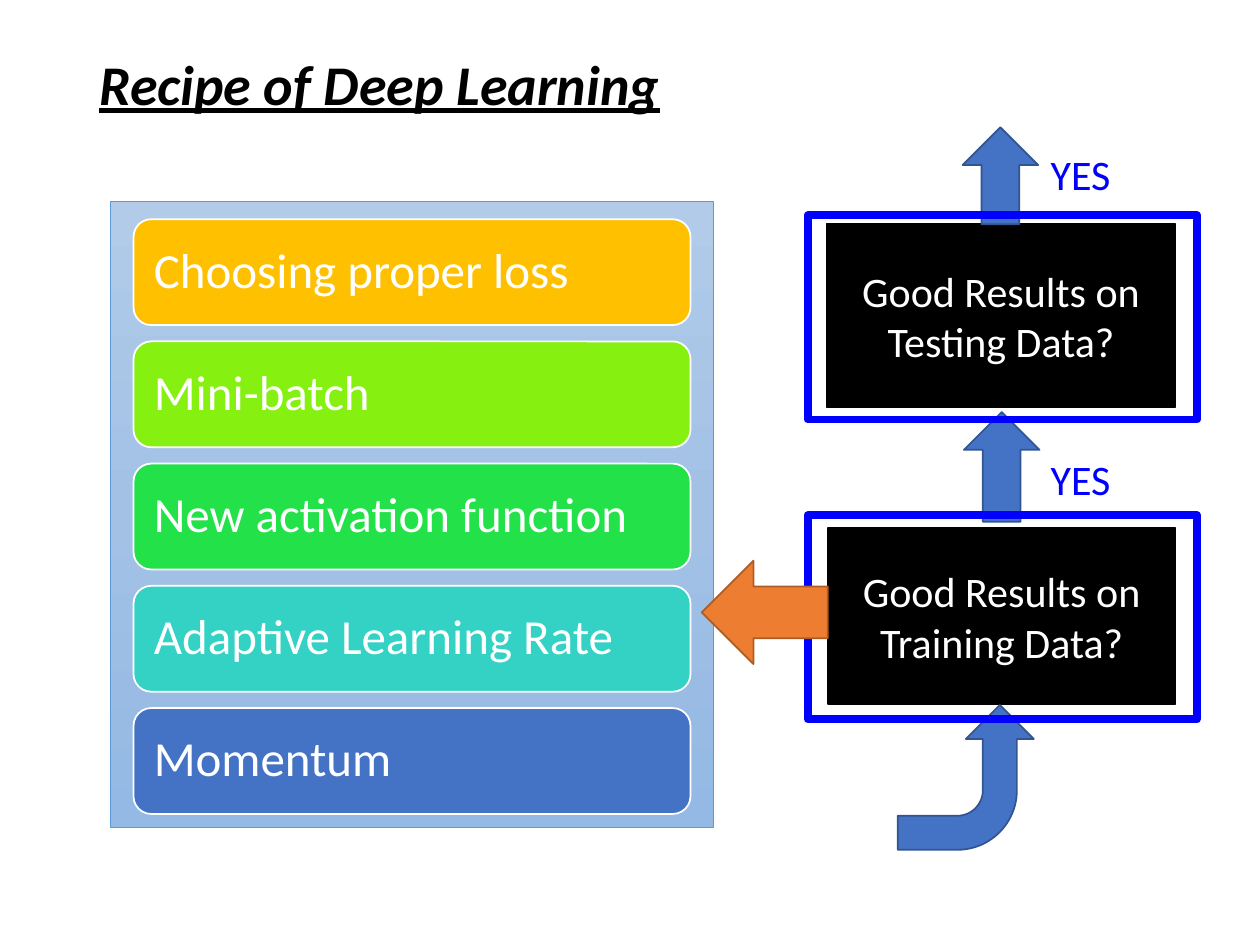
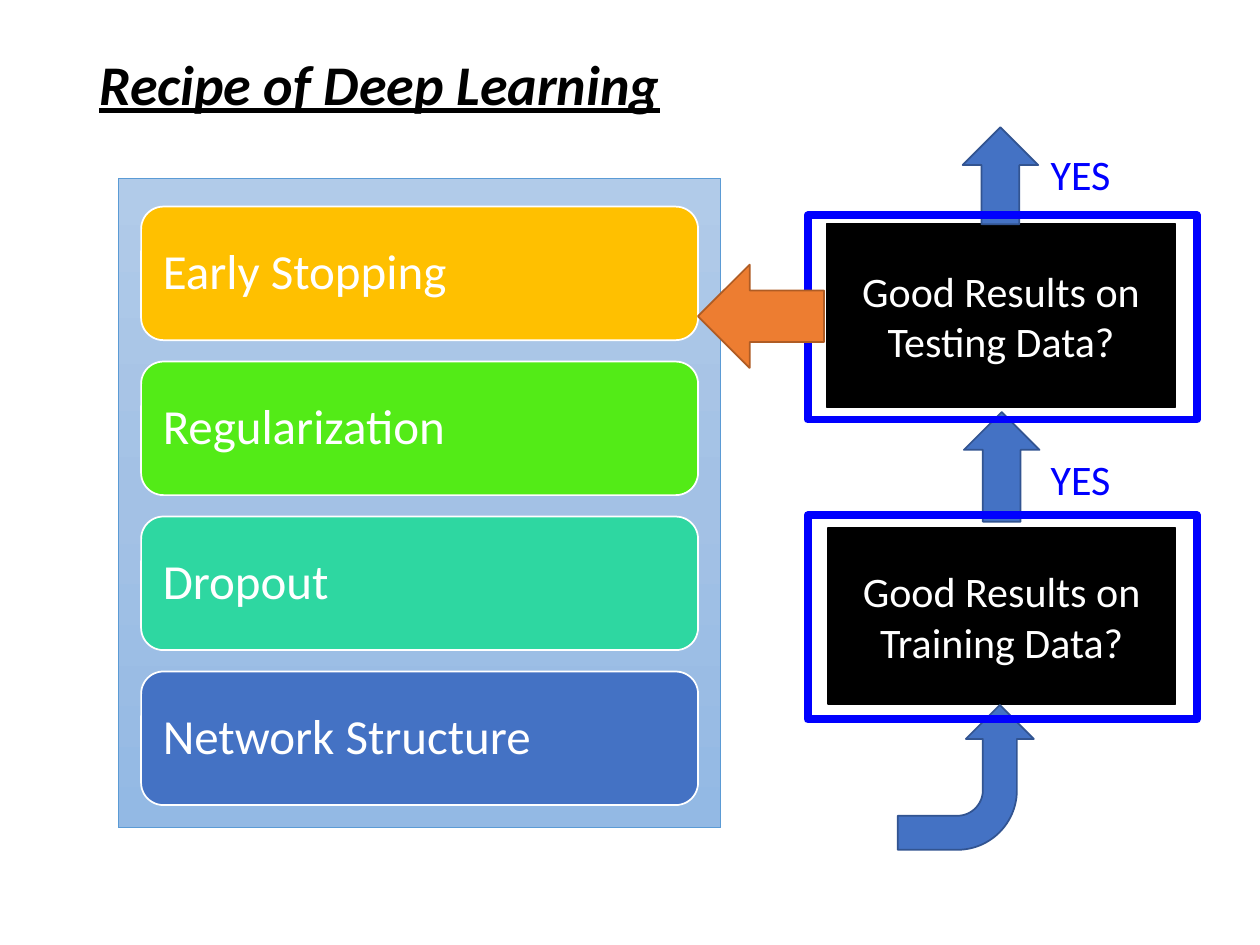
from copy import deepcopy
from dataclasses import dataclass

from pptx import Presentation
from pptx import util as u
from pptx.dml.color import RGBColor
from pptx.enum import shapes, text
from pptx.oxml.ns import qn

KIND = shapes.MSO_SHAPE
MID = text.MSO_ANCHOR.MIDDLE
LEFT = text.PP_ALIGN.LEFT
CENTER = text.PP_ALIGN.CENTER


@dataclass(frozen=True)
class Theme:
    font: str = "Calibri"
    title: int = 32
    step: int = 28
    body: int = 24
    black: str = "000000"
    white: str = "FFFFFF"
    mark: str = "0000FF"
    blue: str = "4472C4"
    navy: str = "325491"
    fire: str = "ED7D31"
    rust: str = "AF5C24"
    edge: str = "5B9BD5"
    fade: tuple = ("B1CBE9", "A3C1E5", "93B9E4")
    gold: str = "FFC000"
    lime: str = "86F011"
    leaf: str = "53EB17"
    green: str = "23E148"
    mint: str = "2ED7A1"
    teal: str = "33D2C5"


def rgb(code):
    return RGBColor.from_string(code)


class Deck:
    def __init__(self, theme):
        self.theme = theme
        self.prs = Presentation()
        self.prs.slide_width = u.Inches(10)
        self.prs.slide_height = u.Inches(7.5)

    def page(self):
        self.slide = self.prs.slides.add_slide(self.prs.slide_layouts[6])

    def shape(self, kind, box, fill, line, width=1.0):
        item = self.slide.shapes.add_shape(kind, *map(u.Inches, box))
        item.shadow.inherit = False
        if fill:
            item.fill.solid()
            item.fill.fore_color.rgb = rgb(fill)
        else:
            item.fill.background()
        item.line.color.rgb = rgb(line)
        item.line.width = u.Pt(width)
        return item

    def words(self, item, line, size, color, align=LEFT):
        item.text_frame.word_wrap = True
        para = item.text_frame.paragraphs[0]
        para.alignment = align
        run = para.add_run()
        run.text = line
        run.font.name = self.theme.font
        run.font.size = u.Pt(size)
        run.font.color.rgb = rgb(color)
        return run

    def label(self, line, box, size, color):
        item = self.slide.shapes.add_textbox(*map(u.Inches, box))
        run = self.words(item, line, size, color)
        item.text_frame.auto_size = text.MSO_AUTO_SIZE.SHAPE_TO_FIT_TEXT
        return run

    def title(self, line):
        run = self.label(line, (0.69, 0.34, 4.76, 0.64), self.theme.title, self.theme.black)
        run.font.bold = run.font.italic = run.font.underline = True

    def panel(self, box):
        item = self.shape(KIND.RECTANGLE, box, None, self.theme.edge, 0.5)
        item.fill.gradient()
        item.fill.gradient_angle = 270
        stops = item._element.spPr.find(".//" + qn("a:gsLst"))
        stops.insert(1, deepcopy(stops[0]))
        for stop, place, code in zip(item.fill.gradient_stops, (0, 0.5, 1), self.theme.fade):
            stop.position = place
            stop.color.rgb = rgb(code)

    def check(self, line, box):
        item = self.shape(KIND.RECTANGLE, box, self.theme.black, self.theme.black)
        item.text_frame.vertical_anchor = MID
        self.words(item, line, self.theme.body, self.theme.white, CENTER)

    def frame(self, top):
        self.shape(KIND.RECTANGLE, (6.41, top, 3.09, 1.62), None, self.theme.mark, 4.5)

    def arrow(self, kind, box, fill, line, turn=0, flip=None):
        item = self.shape(kind, box, fill, line)
        item.rotation = turn
        if flip:
            item._element.spPr.get_or_add_xfrm().set(flip, "1")

    def steps(self, rows, left, top, high, pitch):
        for i, (line, fill) in enumerate(rows):
            box = (left, top + i * pitch, 4.42, high)
            item = self.shape(KIND.ROUNDED_RECTANGLE, box, fill, self.theme.white)
            frame = item.text_frame
            frame.vertical_anchor = MID
            frame.margin_left = frame.margin_right = u.Inches(0.12)
            frame.margin_top = frame.margin_bottom = u.Inches(0.12)
            self.words(item, line, self.theme.step, self.theme.white)
            frame.paragraphs[0].line_spacing = 0.9

    def flow(self):
        look = self.theme
        self.check("Good Results on Testing Data?", (6.56, 1.78, 2.77, 1.45))
        self.check("Good Results on Training Data?", (6.57, 4.19, 2.76, 1.4))
        for box in ((7.64, 1.01, 0.6, 0.77), (7.65, 3.27, 0.6, 0.87)):
            self.arrow(KIND.DOWN_ARROW, box, look.blue, look.navy, 180)
        self.arrow(KIND.BENT_ARROW, (7.09, 5.63, 1.15, 1.08), look.blue, look.navy, 270, "flipV")
        for top in (3.55, 1.13):
            self.label("YES", (8.24, top, 0.84, 0.5), look.body, look.mark)
        for top in (4.09, 1.71):
            self.frame(top)

    def recipe(self, panel, rows, grid, hint):
        self.page()
        self.panel(panel)
        self.flow()
        self.title("Recipe of Deep Learning")
        self.steps(rows, *grid)
        self.arrow(KIND.RIGHT_ARROW, (*hint, 1, 0.82), self.theme.fire, self.theme.rust, flip="flipH")


def main():
    look = Theme()
    deck = Deck(look)
    train = (
        ("Choosing proper loss", look.gold),
        ("Mini-batch", look.lime),
        ("New activation function", look.green),
        ("Adaptive Learning Rate", look.teal),
        ("Momentum", look.blue),
    )
    test = (
        ("Early Stopping", look.gold),
        ("Regularization", look.leaf),
        ("Dropout", look.mint),
        ("Network Structure", look.blue),
    )
    deck.recipe((0.88, 1.6, 4.78, 4.97), train, (1.06, 1.74, 0.84, 0.97), (5.57, 4.45))
    deck.recipe((0.94, 1.42, 4.78, 5.15), test, (1.12, 1.64, 1.06, 1.23), (5.54, 2.1))
    deck.prs.save("out.pptx")


if __name__ == "__main__":
    main()
